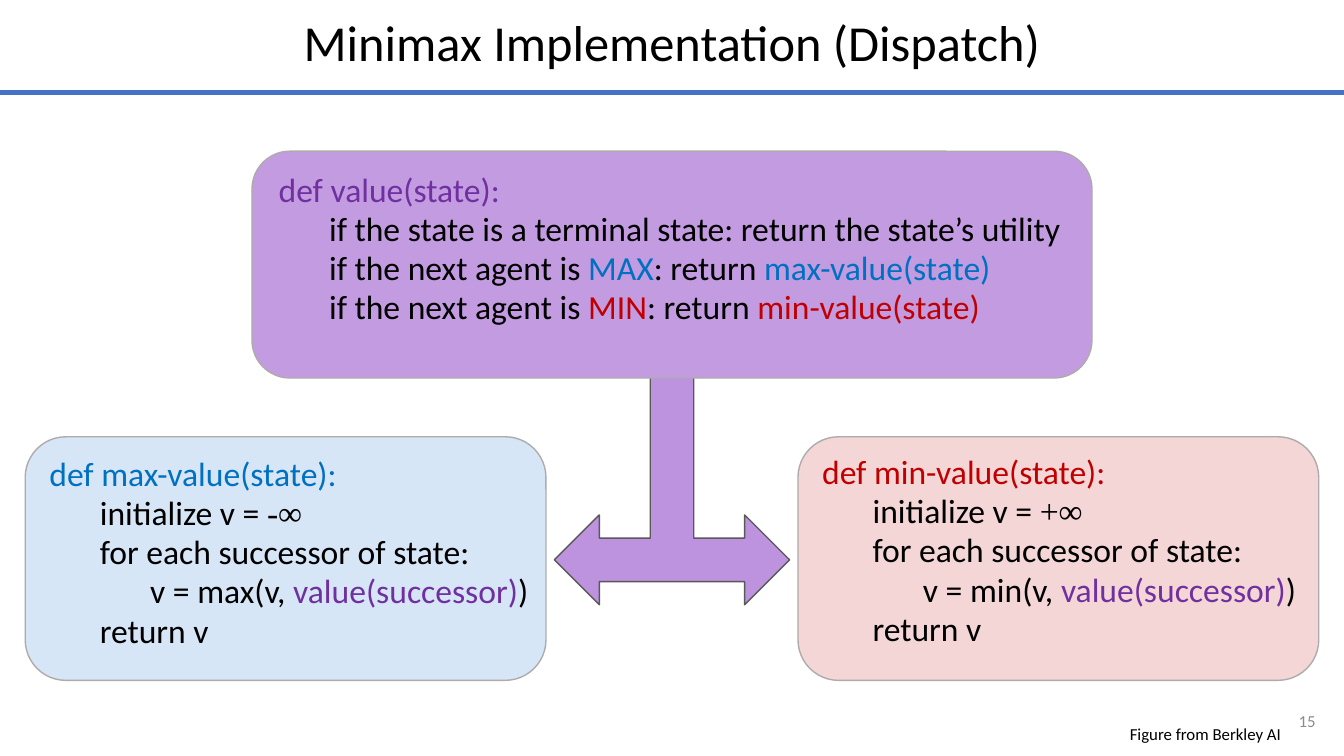
from lxml.etree import SubElement
from pptx import Presentation
from pptx.dml.color import RGBColor
from pptx.enum.shapes import MSO_CONNECTOR as Connector, MSO_SHAPE as Shape
from pptx.enum.text import MSO_ANCHOR as Anchor, PP_ALIGN as Align
from pptx.oxml.ns import qn
from pptx.util import Inches, Pt

COLUMNS, ROWS = 160, 90
BLACK, PURPLE, BLUE, RED = "000000", "7030A0", "0070C0", "C00000"
SYMBOL_FONT = "Times New Roman"


def cells(*counts):
    """Grid counts as lengths; a cell is a twelfth of an inch."""
    return [Inches(count / 12) for count in counts]


def rgb(code):
    return RGBColor.from_string(code)


class SlideBuilder:
    font = "Calibri"
    border = "AFABAB"
    indent = 6

    def __init__(self, deck):
        self.slide = deck.slides.add_slide(deck.slide_layouts[6])

    def shape(self, preset, area, fill, line, alpha=None, adjustments=()):
        figure = self.slide.shapes.add_shape(preset, *cells(*area))
        figure.shadow.inherit = False
        for index, value in enumerate(adjustments):
            figure.adjustments[index] = value
        figure.fill.solid()
        figure.fill.fore_color.rgb = rgb(fill)
        figure.line.color.rgb = rgb(line)
        figure.line.width = Pt(1)
        if alpha:
            color = figure.fill._xPr.find(qn("a:solidFill"))[0]
            SubElement(color, qn("a:alpha"), val=str(alpha * 1000))

    def panel(self, area, fill, alpha=None):
        self.shape(Shape.ROUNDED_RECTANGLE, area, fill, self.border, alpha)

    def rule(self, row, color, width):
        line = self.slide.shapes.add_connector(
            Connector.STRAIGHT, *cells(0, row, COLUMNS, row))
        line.line.color.rgb = rgb(color)
        line.line.width = Pt(width)
        SubElement(line._element.spPr, qn("a:effectLst"))

    def text(self, area, lines, size, anchor=Anchor.TOP, **paragraph_format):
        """Each line is (level, runs); a run is (text, color, font), the last two optional."""
        frame = self.slide.shapes.add_textbox(*cells(*area)).text_frame
        frame.word_wrap = True
        frame.vertical_anchor = anchor
        for number, (level, runs) in enumerate(lines):
            paragraph = frame.add_paragraph() if number else frame.paragraphs[0]
            if level:
                margin = cells(level * self.indent)[0]
                paragraph._p.get_or_add_pPr().set("marL", str(margin))
            space = {"space_before": Pt(5)} if number else {}
            for name, value in {**paragraph_format, **space}.items():
                setattr(paragraph, name, value)
            for words, color, font in ((*run, BLACK, self.font)[:3] if len(run) == 1
                                       else (*run, self.font)[:3] for run in runs):
                run = paragraph.add_run()
                run.text = words
                for name, value in {"size": Pt(size), "name": font}.items():
                    setattr(run.font, name, value)
                run.font.color.rgb = rgb(color)

    def code(self, area, lines):
        self.text(area, lines, 24, line_spacing=0.8)


def dispatch_line(agent, color):
    return 1, [("if the next agent is ",), (agent.upper(), color),
               (": return ",), (f"{agent}-value(state)", color)]


def agent_code(agent, color, start):
    return [
        (0, [(f"def {agent}-value(state):", color)]),
        (1, [("initialize v = ",), (start, BLACK, SYMBOL_FONT)]),
        (1, [("for each successor of state:",)]),
        (2, [(f"v = {agent}(v, ",), ("value(successor)", PURPLE), (")",)]),
        (1, [("return v",)]),
    ]


def main():
    deck = Presentation()
    deck.slide_width, deck.slide_height = cells(COLUMNS, ROWS)
    page = SlideBuilder(deck)

    page.text((0, -0.2, COLUMNS, 11.2), [(0, [("Minimax Implementation (Dispatch)",)])],
              36, Anchor.MIDDLE, alignment=Align.CENTER, line_spacing=0.9)
    page.rule(11, "4472C4", 3.75)

    page.shape(Shape.LEFT_RIGHT_UP_ARROW, (66, 38, 28, 34), "BD92DE", "595959",
               adjustments=(0.185, 0.191, 0.191))
    page.panel((30, 18, 100, 27), "C39BE1")
    page.code((32, 20.4, 108, 24), [
        (0, [("def value(state):", PURPLE)]),
        (1, [("if the state is a terminal state: return the state’s utility",)]),
        dispatch_line("max", BLUE),
        dispatch_line("min", RED),
    ])

    for left, agent, color, tint, start, top in (
            (3, "max", BLUE, "0066CC", "-∞", 54.2),
            (95, "min", RED, RED, "+∞", 54)):
        page.panel((left, 52, 62, 29), tint, alpha=16)
        page.code((left + 1.7, top, 63, 26), agent_code(agent, color, start))

    page.text((149.6, 83.4, 8.2, 4.8), [(0, [("15", "8C8C8C")])],
              12, Anchor.MIDDLE, alignment=Align.RIGHT)
    page.text((130, 85.8, 23.7, 3.2), [(0, [("Figure from Berkley AI",)])],
              12, alignment=Align.RIGHT, line_spacing=0.9)
    deck.save("out.pptx")


if __name__ == "__main__":
    main()
